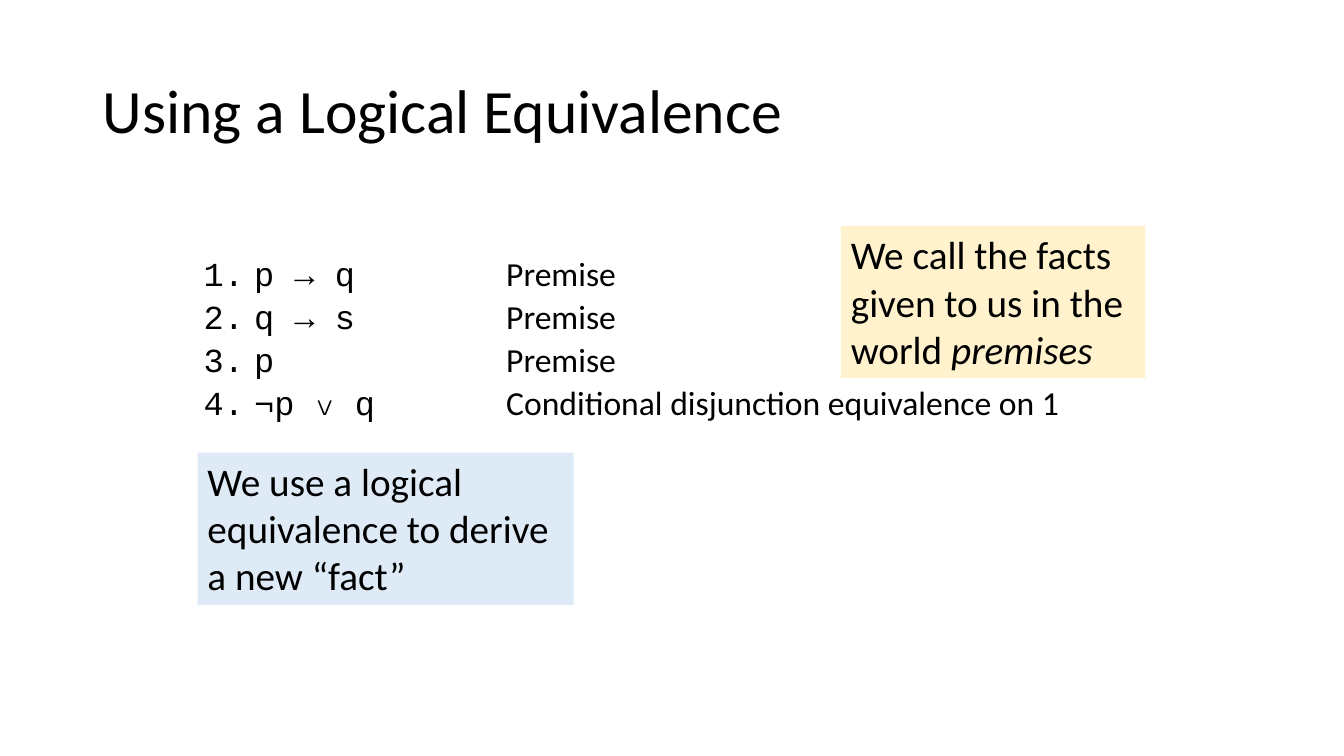
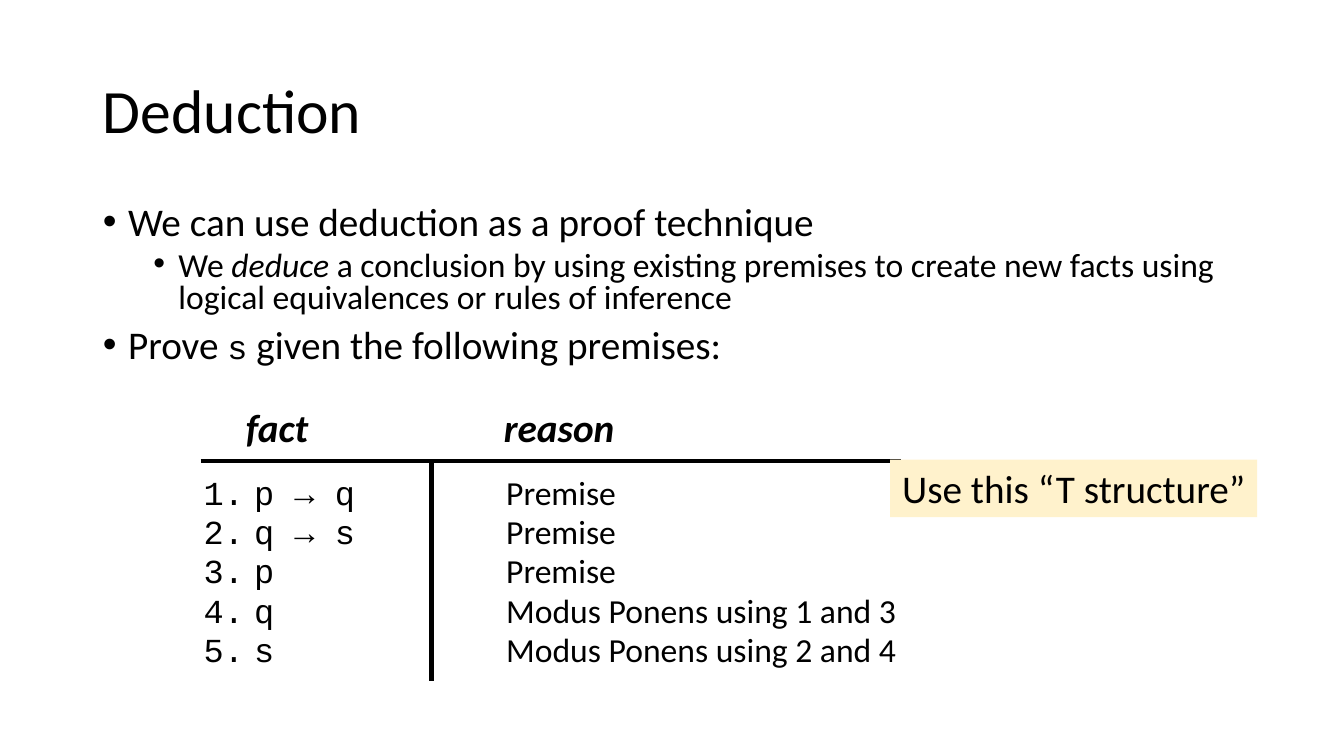
from dataclasses import dataclass
from typing import NamedTuple

from lxml.etree import SubElement
from pptx import Presentation
from pptx.dml.color import RGBColor
from pptx.enum.shapes import MSO_CONNECTOR, MSO_SHAPE
from pptx.enum.text import MSO_ANCHOR, MSO_AUTO_SIZE, PP_ALIGN
from pptx.oxml.ns import qn
from pptx.util import Inches, Pt

RECT = MSO_SHAPE.RECTANGLE
LINE = MSO_CONNECTOR.STRAIGHT
MIDDLE = MSO_ANCHOR.MIDDLE
TOP = MSO_ANCHOR.TOP
NO_FIT = MSO_AUTO_SIZE.NONE
LEFT = PP_ALIGN.LEFT
CENTER = PP_ALIGN.CENTER


@dataclass(frozen=True)
class Theme:
    sans: str = "Calibri"
    mono: str = "Courier New"
    ink: RGBColor = RGBColor(0, 0, 0)
    sand: RGBColor = RGBColor(0xFF, 0xF2, 0xCC)
    sky: RGBColor = RGBColor(0xDE, 0xEB, 0xF7)
    title: int = 44
    large: int = 28
    small: int = 24
    rule: int = 3


class Box(NamedTuple):
    left: float
    top: float
    width: float
    height: float


class Span(NamedTuple):
    text: str
    slant: bool = False
    code: bool = False


class Point(NamedTuple):
    level: int
    spans: tuple[Span, ...]


class Step(NamedTuple):
    fact: str
    reason: str


class Note(NamedTuple):
    box: Box
    fill: RGBColor
    spans: tuple[Span, ...]
    wrap: bool = True
    align: PP_ALIGN = LEFT


THEME = Theme()
TITLE = Box(0.92, 0.4, 11.5, 1.45)
GIVEN = (
    Step("p → q", "Premise"),
    Step("q → s", "Premise"),
    Step("p", "Premise"),
)


def place(shape, box: Box) -> None:
    shape.left, shape.top, shape.width, shape.height = map(Inches, box)


def style(par, size: int, align=LEFT) -> None:
    par.alignment = align
    par.font.name = THEME.sans
    par.font.size = Pt(size)
    par.font.color.rgb = THEME.ink


def write(par, spans: tuple[Span, ...]) -> None:
    for span in spans:
        run = par.add_run()
        run.text = span.text
        if span.slant:
            run.font.italic = True
        if span.code:
            run.font.name = THEME.mono
            run.font.size = Pt(THEME.small)


def mark(par, level: int, left: float, hang: float, face: str, tag: str, **kind: str) -> None:
    par.level = level
    props = par._p.get_or_add_pPr()
    props.set("marL", str(Inches(left)))
    props.set("indent", str(-Inches(hang)))
    props.set("defTabSz", str(Inches(1)))
    SubElement(props, qn("a:buFont"), typeface=face)
    SubElement(props, qn(tag), **kind)


def space(par, line: float, before: float) -> None:
    par.line_spacing = line
    par.space_before = Pt(before)


def next_par(frame):
    first = frame.paragraphs[0]
    return frame.add_paragraph() if first.runs else first


def add_points(frame, points: tuple[Point, ...], line: float) -> None:
    for point in points:
        par = next_par(frame)
        mark(par, point.level, 0.25 + 0.5 * point.level, 0.25, "Arial", "a:buChar", char="•")
        space(par, line, 5 if point.level else 10)
        style(par, THEME.small if point.level else THEME.large)
        write(par, point.spans)


def add_steps(frame, steps: tuple[Step, ...], line: float, lead: float = 5) -> None:
    for num, step in enumerate(steps):
        par = next_par(frame)
        mark(par, 2, 1.5, 0.5, THEME.mono, "a:buAutoNum", type="arabicPeriod")
        space(par, line, 5 if num else lead)
        style(par, THEME.small)
        tabs = "\t" * (3 if len(step.fact) == 1 else 2)
        write(par, (Span(step.fact + tabs, code=True), Span(step.reason)))


def add_page(deck, title: str, body: Box):
    slide = deck.slides.add_slide(deck.slide_layouts[1])
    head, text = slide.shapes.title, slide.placeholders[1]
    place(head, TITLE)
    place(text, body)
    for shape, anchor in ((head, MIDDLE), (text, TOP)):
        shape.text_frame.auto_size = NO_FIT
        shape.text_frame.vertical_anchor = anchor
    par = head.text_frame.paragraphs[0]
    par.line_spacing = 0.9
    style(par, THEME.title)
    write(par, (Span(title),))
    return slide, text.text_frame


def add_note(slide, note: Note) -> None:
    shape = slide.shapes.add_shape(RECT, *map(Inches, note.box))
    shape.shadow.inherit = False
    shape.fill.solid()
    shape.fill.fore_color.rgb = note.fill
    shape.line.fill.background()
    frame = shape.text_frame
    frame.word_wrap = note.wrap
    frame.vertical_anchor = TOP
    par = frame.paragraphs[0]
    style(par, THEME.large, note.align)
    write(par, note.spans)


def add_rule(slide, left: float, top: float, right: float, foot: float) -> None:
    rule = slide.shapes.add_connector(LINE, *map(Inches, (left, top, right, foot)))
    rule.line.color.rgb = THEME.ink
    rule.line.width = Pt(THEME.rule)
    SubElement(rule._element.spPr, qn("a:effectLst"))


def add_label(slide, text: str, box: Box) -> None:
    frame = slide.shapes.add_textbox(*map(Inches, box)).text_frame
    frame.word_wrap = True
    par = frame.paragraphs[0]
    style(par, THEME.large)
    par.font.bold = True
    par.font.italic = True
    write(par, (Span(text),))


def draw_rewrite(deck) -> None:
    slide, frame = add_page(deck, "Using a Logical Equivalence", Box(0.92, 2.5, 11.5, 4.26))
    last = Step("¬p ∨ q", "Conditional disjunction equivalence on 1")
    add_steps(frame, (*GIVEN, last), 0.9)
    notes = (
        Note(
            Box(8.34, 2.24, 3.02, 1.51),
            THEME.sand,
            (Span("We call the facts given to us in the world "), Span("premises", slant=True)),
        ),
        Note(
            Box(1.96, 4.49, 3.73, 1.51),
            THEME.sky,
            (Span("We use a logical equivalence to derive a new “fact”"),),
        ),
    )
    for note in notes:
        add_note(slide, note)


def draw_proof(deck) -> None:
    slide, frame = add_page(deck, "Deduction", Box(0.92, 2, 11.5, 4.76))
    points = (
        Point(0, (Span("We can use deduction as a proof technique"),)),
        Point(1, (
            Span("We "),
            Span("deduce", slant=True),
            Span(" a conclusion by using existing premises to create new facts"
                 " using logical equivalences or rules of inference"),
        )),
        Point(0, (
            Span("Prove "),
            Span("s", code=True),
            Span(" given the following premises:"),
        )),
    )
    add_points(frame, points, 0.8)
    ends = (
        Step("q", "Modus Ponens using 1 and 3"),
        Step("s", "Modus Ponens using 2 and 4"),
    )
    add_steps(frame, (*GIVEN, *ends), 0.8, lead=80)
    bar = 4.57
    add_rule(slide, 4.28, bar, 4.28, 6.76)
    add_rule(slide, 1.99, bar, 8.94, bar)
    add_note(slide, Note(
        Box(8.83, 4.56, 3.64, 0.57),
        THEME.sand,
        (Span("Use this “T structure”"),),
        wrap=False,
        align=CENTER,
    ))
    for text, left in (("fact", 2.34), ("reason", 4.9)):
        add_label(slide, text, Box(left, 3.95, 1.9, 0.57))


def main() -> None:
    deck = Presentation()
    deck.slide_width, deck.slide_height = Inches(13.33), Inches(7.5)
    draw_rewrite(deck)
    draw_proof(deck)
    deck.save("out.pptx")


if __name__ == "__main__":
    main()
